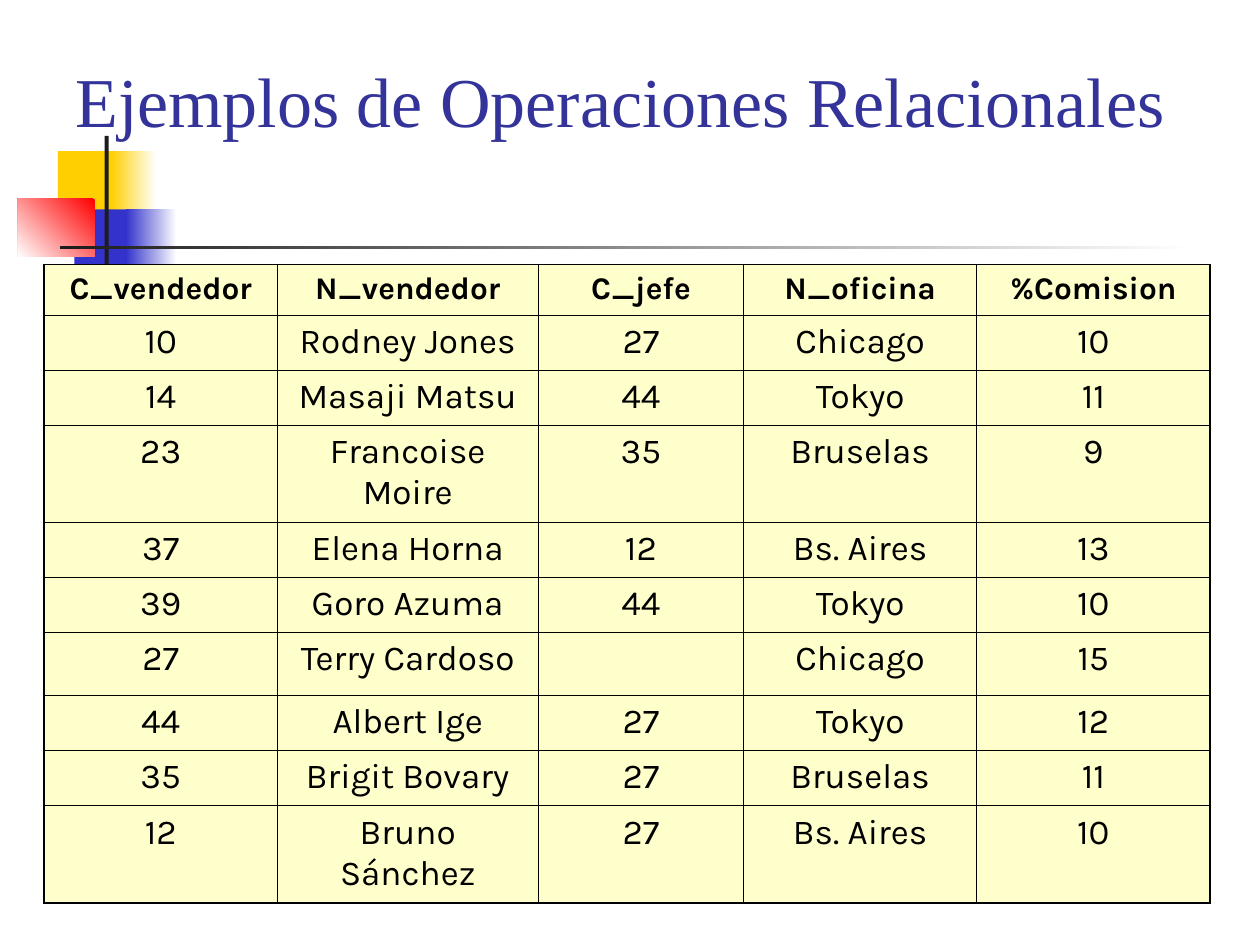
from lxml.etree import SubElement as Sub
from pptx import Presentation
from pptx.dml.color import RGBColor
from pptx.enum.shapes import MSO_SHAPE as Shape
from pptx.enum.text import MSO_ANCHOR as Anchor, MSO_AUTO_SIZE as Auto, PP_ALIGN as Align
from pptx.oxml.ns import qn
from pptx.util import Cm, Pt

# Content
TITLE = "Ejemplos de Operaciones Relacionales"
HEAD = ("C_vendedor", "N_vendedor", "C_jefe", "N_oficina", "%Comision")
SELLERS = [
    ("10", "Rodney Jones", "27", "Chicago", "10"),
    ("14", "Masaji Matsu", "44", "Tokyo", "11"),
    ("23", "Francoise Moire", "35", "Bruselas", "9"),
    ("37", "Elena Horna", "12", "Bs. Aires", "13"),
    ("39", "Goro Azuma", "44", "Tokyo", "10"),
    ("27", "Terry Cardoso", "", "Chicago", "15"),
    ("44", "Albert Ige", "27", "Tokyo", "12"),
    ("35", "Brigit Bovary", "27", "Bruselas", "11"),
    ("12", "Bruno Sánchez", "27", "Bs. Aires", "10"),
]
WIDTHS = (4.7, 5.26, 4.14, 4.7, 4.7)
HEIGHTS = (1.02, 1.11, 1.11, 1.96, 1.11, 1.11, 1.27, 1.11, 1.11, 1.96)

# Ornament: left, top, width, height in cm, colours, gradient angle
BLOCKS = [
    (1.17, 3.05, 1.22, 1.32, ("FFCF01",), 0),
    (2.24, 3.05, 0.91, 1.32, ("FFFFFF", "FFCF01"), 180),
    (1.5, 4.22, 1.17, 1.32, ("3333CC",), 0),
    (2.54, 4.22, 1.02, 1.32, ("FFFFFF", "3333CC"), 180),
    (0.36, 4.01, 1.55, 1.17, ("FF0000", "FFFFFF"), 225),
    (2.11, 2.74, 0.08, 2.92, ("1C1C1C",), 0),
    (1.22, 4.95, 22.86, 0.08, ("FFFFFF", "1C1C1C"), 180),
]


def rgb(code):
    return RGBColor.from_string(code)


def style(par, name, size, color, bold=False):
    par.alignment = Align.CENTER
    font = par.font
    font.name, font.size, font.bold = name, Pt(size), bold
    font.color.rgb = rgb(color)


def paint(fill, colors, angle=0):
    if len(colors) == 1:
        fill.solid()
        fill.fore_color.rgb = rgb(colors[0])
        return
    fill.gradient()
    fill.gradient_angle = angle
    for stop, color in zip(fill.gradient_stops, colors):
        stop.color.rgb = rgb(color)


def border(cell, side, width):
    line = Sub(cell._tc.get_or_add_tcPr(), qn("a:ln" + side), w=str(Pt(width)))
    Sub(Sub(line, qn("a:solidFill")), qn("a:srgbClr"), val="000000")


prs = Presentation()
prs.slide_width, prs.slide_height = Cm(25.4), Cm(19.05)
slide = prs.slides.add_slide(prs.slide_layouts[5])
shapes = slide.shapes

# Ornament
for *box, colors, angle in BLOCKS:
    block = shapes.add_shape(Shape.RECTANGLE, *map(Cm, box))
    block.shadow.inherit = False
    block.line.fill.background()
    paint(block.fill, colors, angle)

# Title, in front of the ornament
title = shapes.title
title.left, title.top, title.width, title.height = map(Cm, (1.07, 0.64, 22.86, 2.74))
frame = title.text_frame
frame.text = TITLE
frame.word_wrap, frame.auto_size = True, Auto.NONE
frame.vertical_anchor = Anchor.MIDDLE
style(frame.paragraphs[0], "Times New Roman", 40, "333399")
title.element.getparent().append(title.element)

# Table
rows = [HEAD] + SELLERS
last, end = len(rows) - 1, len(HEAD) - 1
table = shapes.add_table(len(rows), len(HEAD), Cm(0.89), Cm(5.33),
                         Cm(sum(WIDTHS)), Cm(sum(HEIGHTS))).table
table.first_row = table.horz_banding = False
for col, width in zip(table.columns, WIDTHS):
    col.width = Cm(width)
for row, height in zip(table.rows, HEIGHTS):
    row.height = Cm(height)
for r, row in enumerate(rows):
    for c, text in enumerate(row):
        cell = table.cell(r, c)
        outer = {"L": c == 0, "R": c == end, "T": r == 0, "B": r == last}
        for side, edge in outer.items():
            border(cell, side, 1.08 if edge else 0.45)
        paint(cell.fill, ("FFFFCC",))
        cell.text = text
        style(cell.text_frame.paragraphs[0], "Karla", 18 if r == 0 else 20,
              "000000", r == 0)

prs.save("out.pptx")
